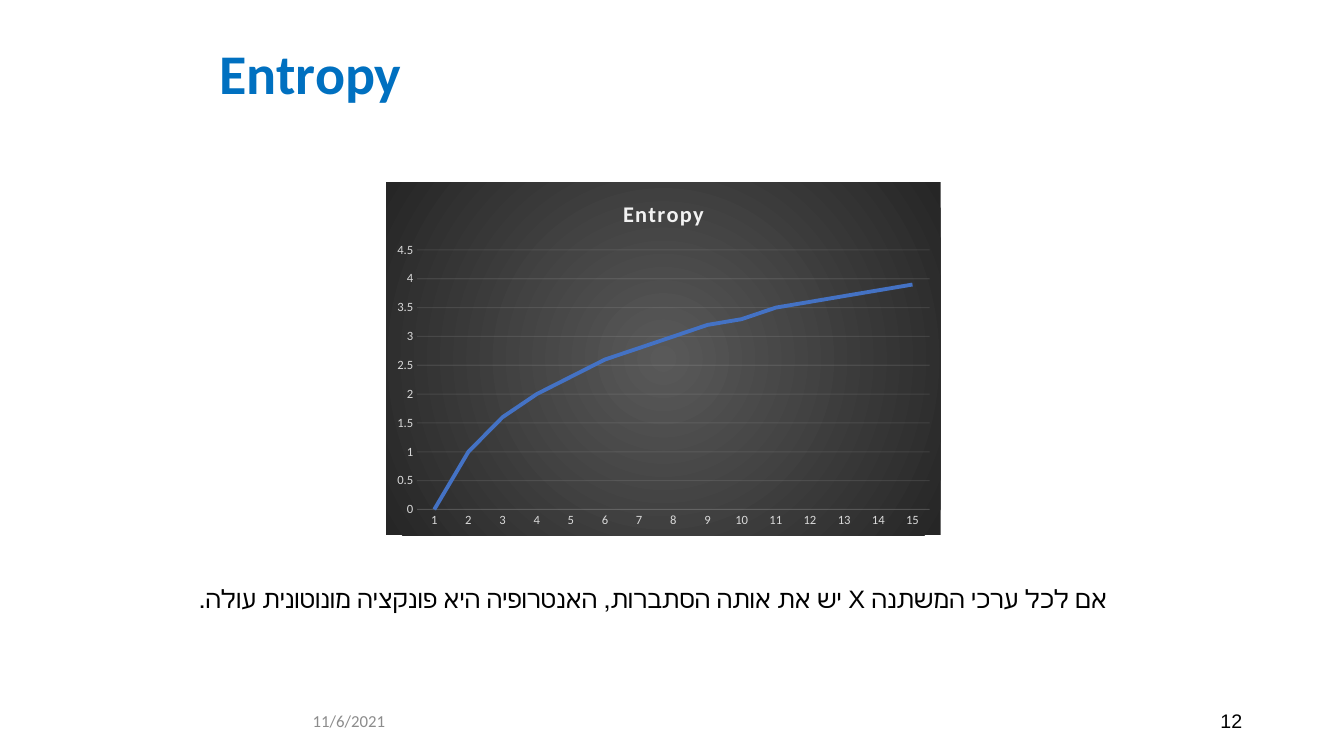
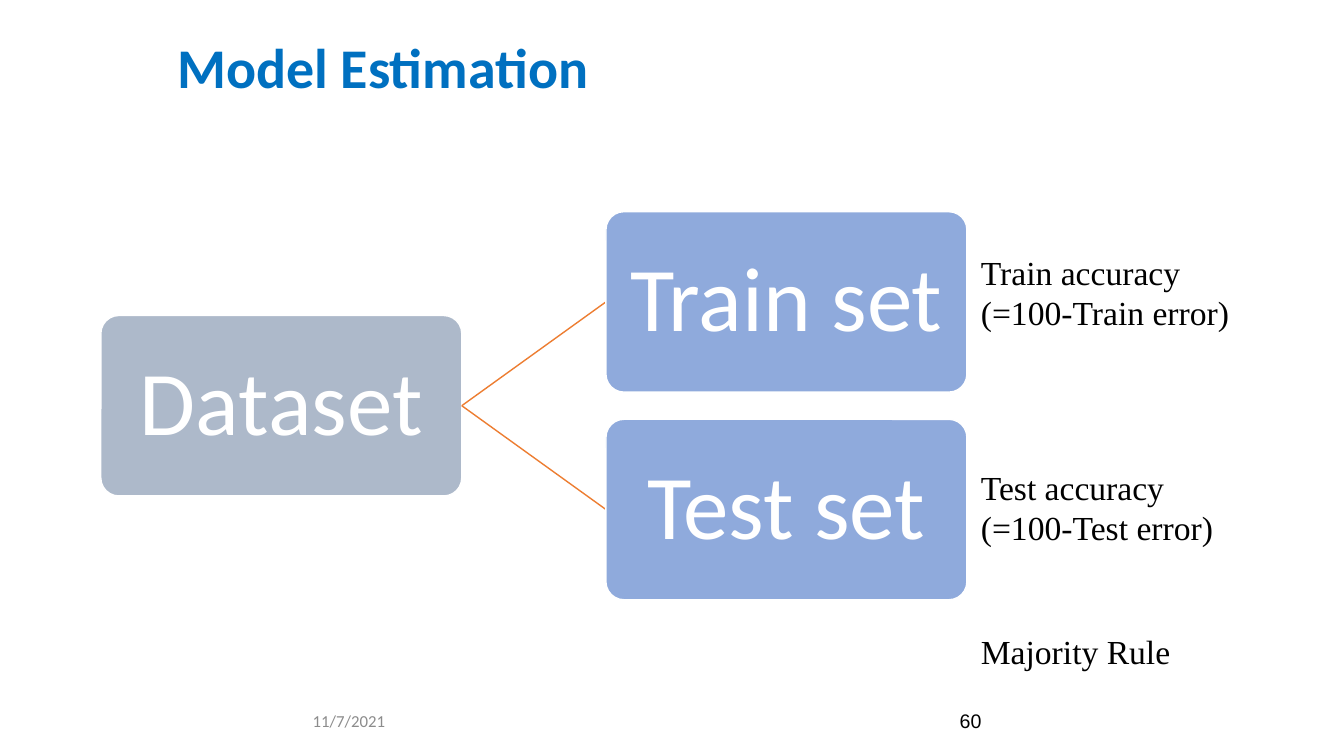
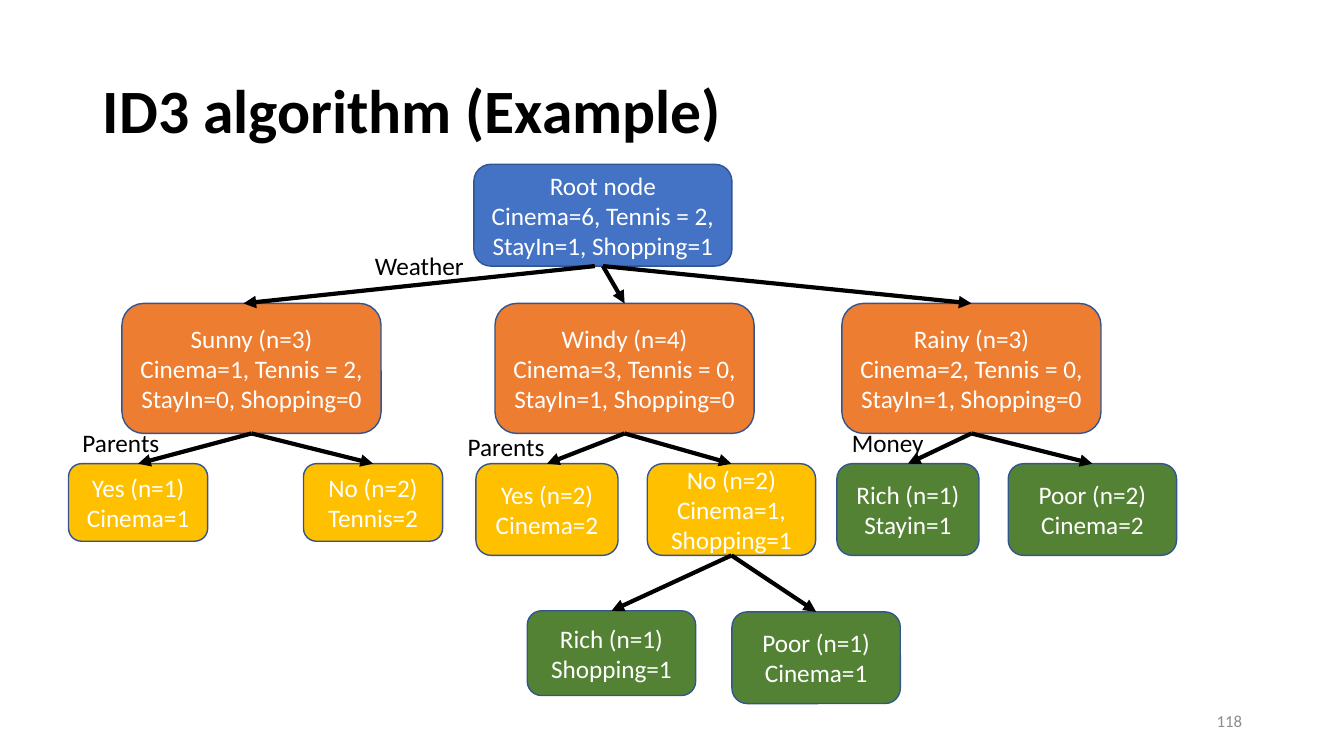
import math

from lxml import etree
from pptx import Presentation
from pptx import util as u
from pptx.chart.data import CategoryChartData
from pptx.dml.color import RGBColor
from pptx.enum import chart as charts, shapes, text
from pptx.oxml import parse_xml
from pptx.oxml.ns import nsdecls, qn

COLORS = {
    "black": "000000", "white": "FFFFFF", "title": "0070C0", "date": "8C8C8C",
    "tick": "D9D9D9", "grid": "F2F2F2", "blue": "4472C4", "orange": "ED7D31",
    "gold": "FFC000", "green": "548235", "outline": "325491",
    "dataset": "ADB9CA", "subset": "8FAADC",
    "glow": "595959", "edge": "262626",
}
LEFT, CENTER, RIGHT = (text.PP_ALIGN.LEFT, text.PP_ALIGN.CENTER, text.PP_ALIGN.RIGHT)
MIDDLE = text.MSO_ANCHOR.MIDDLE
FOOTER_TOP, FOOTER_WIDTH, FOOTER_HEIGHT = 6.95, 3, 0.4


def rgb(name):
    """Return the named colour."""
    return RGBColor.from_string(COLORS[name])


def apply(target, values):
    """Set each attribute of the target from a dict."""
    for name, value in values.items():
        setattr(target, name, value)


def inches(box):
    """Turn the numbers of a box into lengths."""
    return [u.Inches(value) for value in box]


def set_font(font, size, color="black", name="Calibri", bold=False):
    """Give a font its face, size and colour."""
    apply(font, {"name": name, "size": u.Pt(size), "bold": bold})
    font.color.rgb = rgb(color)


def write(frame, lines, align=LEFT, rtl=False, spacing=None, anchor=None, **font):
    """Fill a text frame with one paragraph for each line."""
    apply(frame, {"word_wrap": True, "auto_size": text.MSO_AUTO_SIZE.NONE})
    if anchor is not None:
        frame.vertical_anchor = anchor
    frame.text = "\n".join(lines)
    for paragraph in frame.paragraphs:
        apply(paragraph, {"alignment": align, "line_spacing": spacing})
        if rtl:
            paragraph._p.get_or_add_pPr().set("rtl", "1")
        for run in paragraph.runs:
            set_font(run.font, **font)


def add_text(slide, box, line, **style):
    """Add a text box with a single paragraph."""
    write(slide.shapes.add_textbox(*inches(box)).text_frame, [line], **style)


def add_box(slide, box, lines, fill, outline, radius=None, **style):
    """Add a rounded rectangle with centred white text."""
    shape = slide.shapes.add_shape(shapes.MSO_SHAPE.ROUNDED_RECTANGLE, *inches(box))
    shape.shadow.inherit = False
    if radius is not None:
        shape.adjustments[0] = radius
    shape.fill.solid()
    shape.fill.fore_color.rgb = rgb(fill)
    shape.line.color.rgb = rgb(outline)
    shape.line.width = u.Pt(1)
    write(shape.text_frame, lines, align=CENTER, anchor=MIDDLE, color="white", **style)


def add_line(slide, start, end, color, width, arrow=False):
    """Add a straight line, with an arrowhead at its end on request."""
    line = slide.shapes.add_connector(
        shapes.MSO_CONNECTOR.STRAIGHT, *inches(start + end))
    line.line.color.rgb = rgb(color)
    line.line.width = u.Pt(width)
    if arrow:
        etree.SubElement(line.line._get_or_add_ln(), qn("a:tailEnd")).set("type", "triangle")
    etree.SubElement(line._element.spPr, qn("a:effectLst"))


def start_slide(presentation, title, box, align=LEFT, size=40, color="title"):
    """Add a slide with its title placed in the given box."""
    slide = presentation.slides.add_slide(presentation.slide_layouts[5])
    left, top, width, height = inches(box)
    apply(slide.shapes.title, {"left": left, "top": top, "width": width, "height": height})
    write(slide.shapes.title.text_frame, [title], align=align, spacing=0.9,
          anchor=MIDDLE, size=size, color=color, bold=True)
    return slide


def add_footer(slide, number, date=None, align=RIGHT, **font):
    """Add the slide number and, if there is one, the date."""
    add_text(slide, (9.42, FOOTER_TOP, FOOTER_WIDTH, FOOTER_HEIGHT), number,
             align=align, anchor=MIDDLE, **font)
    if date:
        add_text(slide, (0.92, FOOTER_TOP, FOOTER_WIDTH, FOOTER_HEIGHT), date,
                 align=RIGHT, anchor=MIDDLE, size=12, color="date")


def soften(line):
    """Draw a chart line thin and nearly transparent."""
    line.color.rgb = rgb("grid")
    line.width = u.Pt(0.75)
    color = line._get_or_add_ln().find(".//" + qn("a:srgbClr"))
    etree.SubElement(color, qn("a:alpha")).set("val", "10000")


def add_entropy_chart(slide, box):
    """Add the dark line chart of entropy against the number of values."""
    counts = range(1, 16)
    data = CategoryChartData()
    data.categories = [str(count) for count in counts]
    data.add_series("Series 1", [round(math.log2(count), 1) for count in counts])
    chart = slide.shapes.add_chart(charts.XL_CHART_TYPE.LINE, *inches(box), data).chart
    chart.has_legend = False
    set_font(chart.font, 10)
    chart.has_title = True
    chart.chart_title.include_in_layout = False
    write_title = chart.chart_title.text_frame
    write_title.text = "Entropy"
    run = write_title.paragraphs[0].runs[0]
    set_font(run.font, 16, "grid", bold=True)
    run._r.get_or_add_rPr().set("spc", "100")

    for axis in (chart.category_axis, chart.value_axis):
        apply(axis, {"major_tick_mark": charts.XL_TICK_MARK.NONE,
                     "minor_tick_mark": charts.XL_TICK_MARK.NONE})
        set_font(axis.tick_labels.font, 9, "tick")
    soften(chart.category_axis.format.line)
    apply(chart.value_axis, {"minimum_scale": 0, "maximum_scale": 4.5, "major_unit": 0.5})
    chart.value_axis.format.line.fill.background()
    soften(chart.value_axis.major_gridlines.format.line)

    series = chart.plots[0].series[0]
    series.smooth = False
    series.marker.style = charts.XL_MARKER_STYLE.NONE
    series.format.line.color.rgb = rgb("blue")
    series.format.line.width = u.Pt(2.75)
    chart.plots[0].vary_by_categories = False
    background = parse_xml(
        f'<c:spPr {nsdecls("c", "a")}><a:gradFill><a:gsLst>'
        f'<a:gs pos="0"><a:srgbClr val="{COLORS["glow"]}"/></a:gs>'
        f'<a:gs pos="100000"><a:srgbClr val="{COLORS["edge"]}"/></a:gs></a:gsLst>'
        '<a:path path="circle"><a:fillToRect l="50000" t="50000" r="50000" b="50000"/>'
        '</a:path></a:gradFill><a:ln><a:noFill/></a:ln></c:spPr>')
    chart._chartSpace.find(qn("c:chart")).addnext(background)


def add_split(slide, box):
    """Show the data set split into a train set and a test set."""
    left, top, width, height = box
    box_width, box_height = 3.58, 1.79
    style = {"outline": "white", "radius": 0.1, "size": 65, "spacing": 0.9}
    center = top + height / 2
    subset_left = left + width - box_width
    add_box(slide, (left, center - box_height / 2, box_width, box_height),
            ["Dataset"], "dataset", **style)
    for name, subset_top in (("Train set", top), ("Test set", top + height - box_height)):
        add_line(slide, (left + box_width, center),
                 (subset_left, subset_top + box_height / 2), "orange", 1)
        add_box(slide, (subset_left, subset_top, box_width, box_height),
                [name], "subset", **style)


def add_tree(slide, box):
    """Draw the decision tree with its arrows and split labels."""
    left, top = box[:2]
    rows = {"root": (0, 1.01), "weather": (1.38, 1.29), "short": (2.97, 0.77),
            "tall": (2.97, 0.91), "rich": (4.43, 0.84), "poor": (4.44, 0.91)}
    nodes = {
        "root": ("root", 4.02, 2.56, "blue", None, "Root node",
                 "Cinema=6, Tennis = 2, StayIn=1, Shopping=1"),
        "sunny": ("weather", 0.53, 2.57, "orange", "root", "Sunny (n=3)",
                  "Cinema=1, Tennis = 2, StayIn=0, Shopping=0"),
        "windy": ("weather", 4.23, 2.57, "orange", "root", "Windy (n=4)",
                  "Cinema=3, Tennis = 0, StayIn=1, Shopping=0"),
        "rainy": ("weather", 7.67, 2.57, "orange", "root", "Rainy (n=3)",
                  "Cinema=2, Tennis = 0, StayIn=1, Shopping=0"),
        "sunny yes": ("short", 0, 1.38, "gold", "sunny", "Yes (n=1)", "Cinema=1"),
        "sunny no": ("short", 2.33, 1.38, "gold", "sunny", "No (n=2)", "Tennis=2"),
        "windy yes": ("tall", 4.04, 1.41, "gold", "windy", "Yes (n=2)", "Cinema=2"),
        "windy no": ("tall", 5.74, 1.67, "gold", "windy", "No (n=2)",
                     "Cinema=1, Shopping=1"),
        "rainy rich": ("tall", 7.62, 1.41, "green", "rainy", "Rich (n=1)", "Stayin=1"),
        "rainy poor": ("tall", 9.32, 1.67, "green", "rainy", "Poor (n=2)", "Cinema=2"),
        "windy rich": ("rich", 4.55, 1.67, "green", "windy no", "Rich (n=1)", "Shopping=1"),
        "windy poor": ("poor", 6.58, 1.67, "green", "windy no", "Poor (n=1)", "Cinema=1"),
    }
    shifts = {"sunny": -0.08}
    bottoms = {}
    for name, (row, offset, width, fill, parent, *lines) in nodes.items():
        row_top, height = rows[row]
        node_left, node_top = left + offset, top + row_top
        center = node_left + width / 2
        add_box(slide, (node_left, node_top, width, height), lines, fill, "outline", size=18)
        bottoms[name] = (center, node_top + height)
        if parent:
            shift = shifts.get(name, 0)
            start_x, start_y = bottoms[parent]
            add_line(slide, (start_x + shift, start_y), (center + shift, node_top),
                     "black", 3, arrow=True)
    for label, label_left, label_top in (("Weather", 2.94, 0.8), ("Parents", 0.04, 2.56),
                                         ("Parents", 3.86, 2.6), ("Money", 7.67, 2.56)):
        add_text(slide, (left + label_left, top + label_top, 1.36, 0.4), label, size=18)


def build_entropy(presentation):
    """Build the slide on entropy."""
    slide = start_slide(presentation, "Entropy", (0.08, 0.13, 6, 1.25), align=CENTER)
    add_entropy_chart(slide, (3.83, 1.81, 5.5, 3.5))
    add_text(slide, (1.25, 5.74, 9.83, 0.4),
             "אם לכל ערכי המשתנה X יש את אותה הסתברות, האנטרופיה היא פונקציה מונוטונית עולה.",
             align=RIGHT, rtl=True, size=18, name="Arial")
    add_footer(slide, "12", "11/6/2021", size=14, name="Arial")


def build_estimation(presentation):
    """Build the slide on model estimation."""
    slide = start_slide(presentation, "Model Estimation", (1.66, 0.07, 10.5, 1.25))
    add_split(slide, (1, 2.1, 8.59, 3.85))
    for note, top, height in (("Train accuracy (=100-Train error)", 2.45, 0.91),
                              ("Test accuracy (=100-Test error)", 4.58, 0.91),
                              ("Majority Rule", 6.21, 0.5)):
        add_text(slide, (9.63, top, 2.91, height), note, size=24, name="Times New Roman")
    add_footer(slide, "60", "11/7/2021", align=LEFT, size=14, name="Arial")


def build_example(presentation):
    """Build the slide with the decision tree."""
    slide = start_slide(presentation, "ID3 algorithm (Example)", (0.92, 0.4, 11.5, 1.45),
                        size=44, color="black")
    add_tree(slide, (0.68, 1.63, 10.99, 5.35))
    add_footer(slide, "118", size=12, color="date")


def main():
    """Build and save the presentation."""
    presentation = Presentation()
    apply(presentation, {"slide_width": u.Inches(13.33), "slide_height": u.Inches(7.5)})
    for build in (build_entropy, build_estimation, build_example):
        build(presentation)
    presentation.save("out.pptx")


if __name__ == "__main__":
    main()
